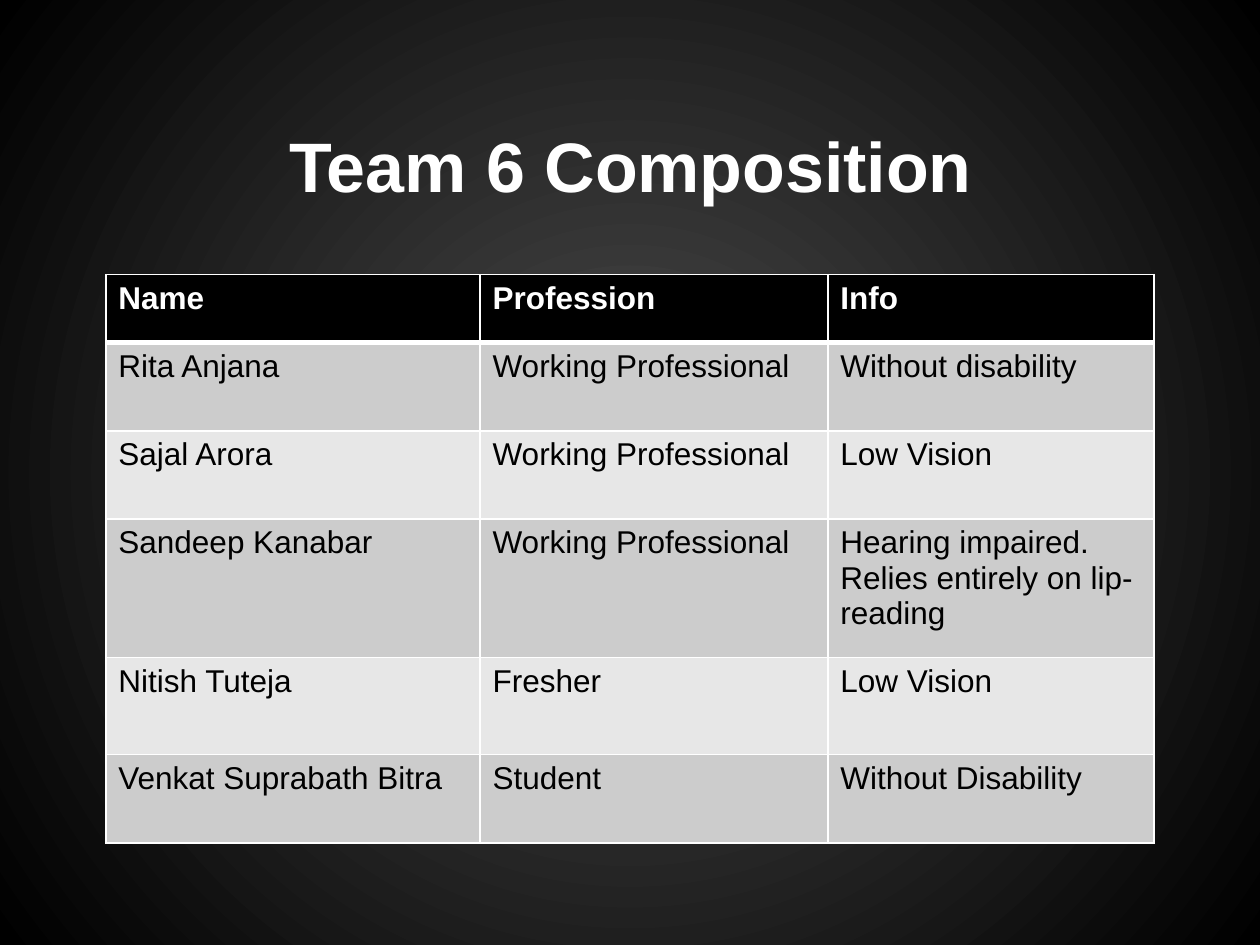
from dataclasses import dataclass

from lxml.etree import SubElement
from pptx import Presentation
from pptx.dml.color import RGBColor
from pptx.enum.text import MSO_ANCHOR, PP_ALIGN
from pptx.oxml import parse_xml
from pptx.oxml.ns import nsdecls, qn
from pptx.util import Inches, Pt


@dataclass(frozen=True)
class Theme:
    font: str = "Arial"
    title_size: int = 40
    table_size: int = 18
    light: str = "FFFFFF"
    dark: str = "000000"
    glow: str = "4C4C4C"
    bands: tuple = ("CCCCCC", "E7E7E7")
    rule: int = 1
    header_rule: int = 3


@dataclass(frozen=True)
class Member:
    name: str
    profession: str
    info: str
    height: float = 0.7

    def texts(self) -> tuple:
        return self.name, self.profession, self.info


THEME = Theme()
COLUMN_WIDTHS = (2.97, 2.76, 2.59)
ROWS = (
    Member("Name", "Profession", "Info", 0.54),
    Member("Rita Anjana", "Working Professional", "Without disability"),
    Member("Sajal Arora", "Working Professional", "Low Vision"),
    Member("Sandeep Kanabar", "Working Professional",
           "Hearing impaired. Relies entirely on lip-reading", 1.1),
    Member("Nitish Tuteja", "Fresher", "Low Vision", 0.77),
    Member("Venkat Suprabath Bitra", "Student", "Without Disability"),
)


def apply(target, formats: dict) -> None:
    for attribute, value in formats.items():
        setattr(target, attribute, value)


def write(para, text: str, size: int, color: str, bold: bool) -> None:
    span = para.add_run()
    span.text = text
    apply(span.font, {"name": THEME.font, "size": Pt(size), "bold": bold})
    span.font.color.rgb = RGBColor.from_string(color)


def paint_background(page) -> None:
    fill = page.background.fill
    fill.gradient()
    for stop, color in zip(fill.gradient_stops, (THEME.glow, THEME.dark)):
        stop.color.rgb = RGBColor.from_string(color)
    gradient = next(page.element.iter(qn("a:gradFill")))
    gradient.replace(gradient.find(qn("a:lin")), parse_xml(
        f'<a:path {nsdecls("a")} path="circle">'
        '<a:fillToRect l="50000" t="50000" r="50000" b="50000"/></a:path>'))


def add_title(page, text: str) -> None:
    box = page.shapes.add_textbox(Inches(1.81), Inches(0.8), Inches(6.39), Inches(0.94))
    margins = dict.fromkeys(
        ("margin_left", "margin_right", "margin_top", "margin_bottom"), Inches(0.1))
    apply(box.text_frame, {"word_wrap": True, "vertical_anchor": MSO_ANCHOR.BOTTOM, **margins})
    para = box.text_frame.paragraphs[0]
    apply(para, {"alignment": PP_ALIGN.CENTER, "line_spacing": 1.5})
    write(para, text, THEME.title_size, THEME.light, True)


def add_borders(cell, top: int, bottom: int) -> None:
    properties = cell._tc.get_or_add_tcPr()
    widths = {"lnL": THEME.rule, "lnR": THEME.rule, "lnT": top, "lnB": bottom}
    for position, (side, width) in enumerate(widths.items()):
        line = parse_xml(f'<a:{side} {nsdecls("a")} w="{Pt(width)}"/>')
        solid = SubElement(line, qn("a:solidFill"))
        SubElement(solid, qn("a:srgbClr"), val=THEME.light)
        properties.insert(position, line)


def add_team_table(page) -> None:
    table = page.shapes.add_table(
        len(ROWS), len(COLUMN_WIDTHS), Inches(0.84), Inches(2.18),
        Inches(sum(COLUMN_WIDTHS)), Inches(sum(row.height for row in ROWS))).table
    for column, width in zip(table.columns, COLUMN_WIDTHS):
        column.width = Inches(width)
    for index, member in enumerate(ROWS):
        header = index == 0
        table.rows[index].height = Inches(member.height)
        fill = THEME.dark if header else THEME.bands[(index - 1) % 2]
        color = THEME.light if header else THEME.dark
        # The heavy rule lies between the header and the first member
        top = THEME.header_rule if index == 1 else THEME.rule
        bottom = THEME.header_rule if header else THEME.rule
        for cell, text in zip(table.rows[index].cells, member.texts()):
            cell.fill.solid()
            cell.fill.fore_color.rgb = RGBColor.from_string(fill)
            write(cell.text_frame.paragraphs[0], text, THEME.table_size, color, header)
            add_borders(cell, top, bottom)


# Deck and blank page
deck = Presentation()
apply(deck, {"slide_width": Inches(10), "slide_height": Inches(7.5)})
page = deck.slides.add_slide(deck.slide_layouts[6])

# Slide parts
paint_background(page)
add_title(page, "Team 6 Composition")
add_team_table(page)
deck.save("out.pptx")
